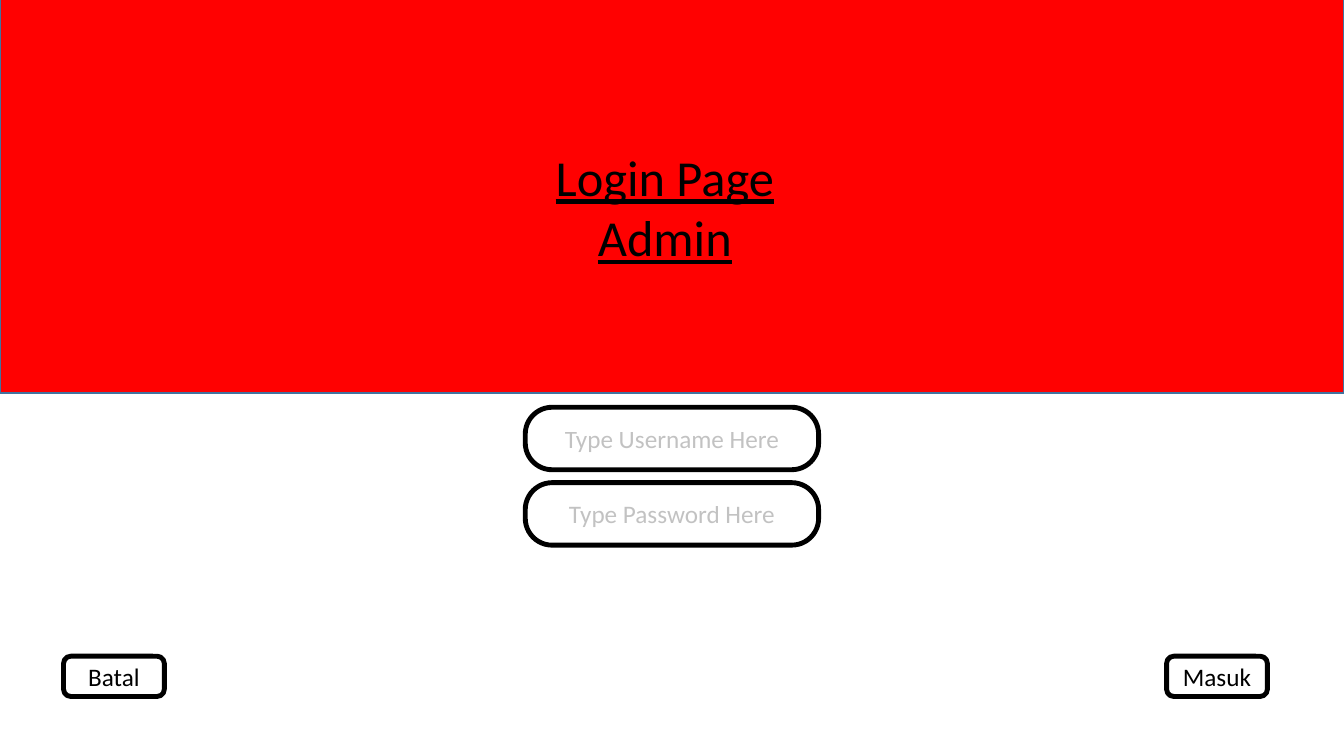
import lxml.etree
import pptx
import pptx.dml.color
import pptx.enum.shapes
import pptx.enum.text
import pptx.oxml.ns
import pptx.util

SHAPES = pptx.enum.shapes.MSO_SHAPE
BLACK, WHITE, RED, BLUE = "000000", "FFFFFF", "FF0101", "43739E"


def color(hex_text):
    return pptx.dml.color.RGBColor.from_string(hex_text)


def apply_format(target, values):
    for name, value in values.items():
        setattr(target, name, value)


class Page:
    font_name = "Calibri"
    outline_width = 3.5

    def __init__(self, presentation):
        self.width = presentation.slide_width
        self.height = presentation.slide_height
        self.slide = presentation.slides.add_slide(presentation.slide_layouts[6])

    def place(self, left, top, width, height):
        return [
            int(share * length / 100)
            for share, length in zip(
                (left, top, width, height), (self.width, self.height) * 2
            )
        ]

    def shape(self, kind, area, corners, fill, line, line_width):
        shape = self.slide.shapes.add_shape(kind, *self.place(*area))
        shape.shadow.inherit = False
        for index, corner in enumerate(corners):
            shape.adjustments[index] = corner
        if fill:
            shape.fill.solid()
            shape.fill.fore_color.rgb = color(fill)
        else:
            shape.fill.background()
        shape.line.color.rgb = color(line)
        shape.line.width = pptx.util.Pt(line_width)
        return shape

    def add_text(self, shape, text, size, opacity=100, **font_values):
        apply_format(shape.text_frame, {"word_wrap": True})
        paragraph = shape.text_frame.paragraphs[0]
        paragraph.alignment = pptx.enum.text.PP_ALIGN.CENTER
        run = paragraph.add_run()
        run.text = text
        font_values.update(name=self.font_name, size=pptx.util.Pt(size))
        apply_format(run.font, font_values)
        run.font.color.rgb = color(BLACK)
        if opacity < 100:
            tag = pptx.oxml.ns.qn("a:srgbClr")
            color_element = next(run.font._element.iter(tag))
            alpha = lxml.etree.SubElement(color_element, pptx.oxml.ns.qn("a:alpha"))
            alpha.set("val", str(opacity * 1000))

    def banner(self, area):
        self.shape(SHAPES.SNIP_2_SAME_RECTANGLE, area, (0, 0), RED, BLUE, 1)

    def title(self, area, text):
        shape = self.slide.shapes.add_textbox(*self.place(*area))
        self.add_text(shape, text, 36, underline=True)

    def box(self, area, corner, text, fill=None, opacity=100):
        shape = self.shape(
            SHAPES.ROUNDED_RECTANGLE, area, (corner,), fill, BLACK, self.outline_width
        )
        shape.text_frame.vertical_anchor = pptx.enum.text.MSO_ANCHOR.MIDDLE
        self.add_text(shape, text, 18, opacity)

    def field(self, row, text):
        self.box((39.08, 53.87 + row * 9.97, 21.83, 8.27), 0.43, text, WHITE, 23)

    def button(self, left, text):
        self.box((left, 86.8, 7.5, 5.33), 0.18, text)


presentation = pptx.Presentation()
apply_format(
    presentation,
    {"slide_width": pptx.util.Inches(13.33), "slide_height": pptx.util.Inches(7.5)},
)
page = Page(presentation)
page.banner((0, -0.4, 100, 52.4))
page.title((39.08, 18.67, 20.78, 17.47), "Login Page Admin")
for row, prompt in enumerate(("Type Username Here", "Type Password Here")):
    page.field(row, prompt)
for left, label in ((4.73, "Batal"), (86.8, "Masuk")):
    page.button(left, label)
presentation.save("out.pptx")
